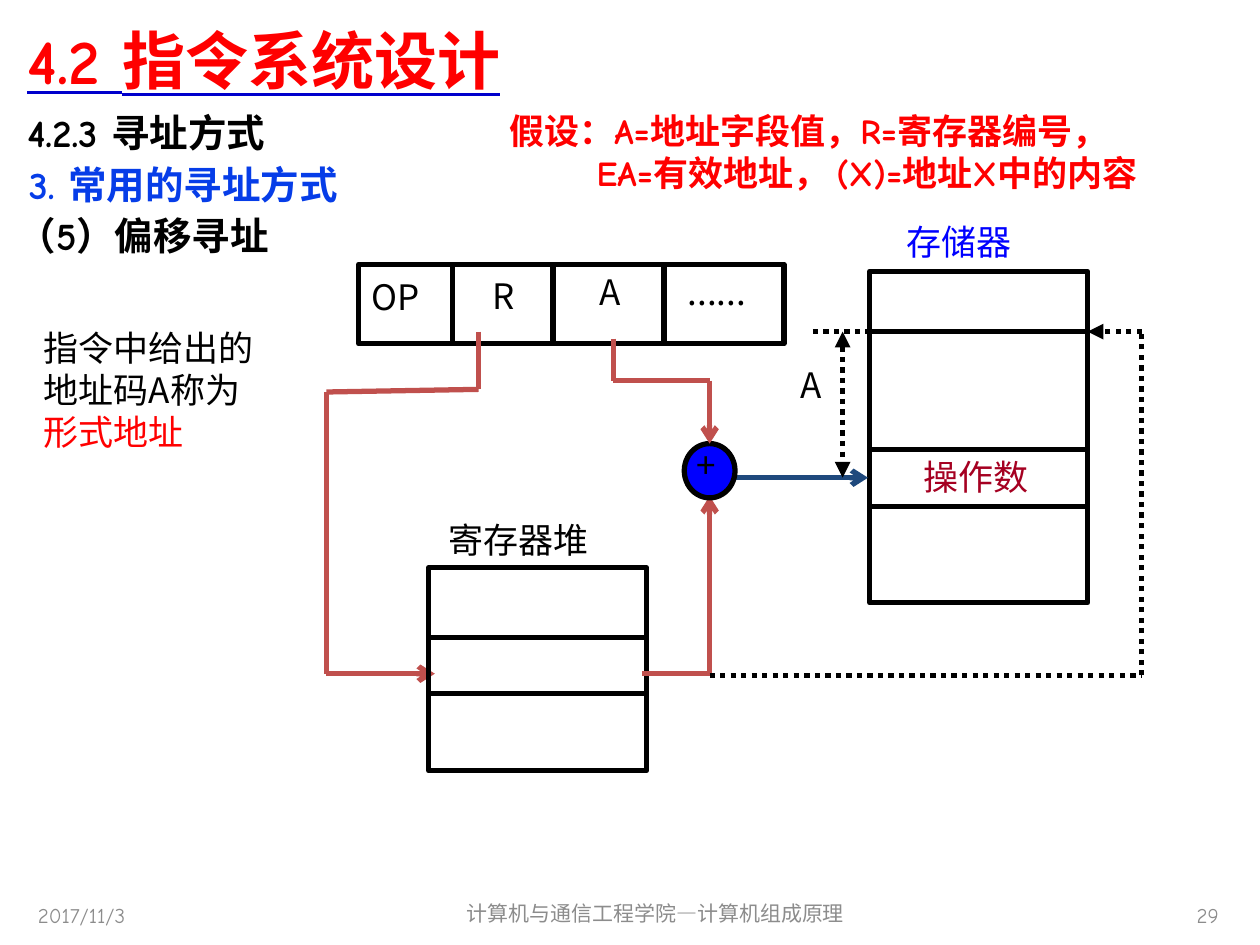
from itertools import pairwise

from lxml.etree import SubElement
from pptx import Presentation
from pptx.dml.color import RGBColor
from pptx.enum.dml import MSO_LINE
from pptx.enum.shapes import MSO_CONNECTOR, MSO_SHAPE
from pptx.enum.text import MSO_ANCHOR, MSO_AUTO_SIZE, PP_ALIGN
from pptx.oxml import parse_xml
from pptx.oxml.ns import nsdecls, qn
from pptx.util import Pt

COLORS = {
    "black": "000000", "red": "FF0000", "blue": "0000FF", "heading": "063DE8",
    "underline": "0000CC", "operand": "A50021", "grey": "8C8C8C",
    "wire": "C0504D", "address": "1F497D",
}
LATIN, CJK = "Comic Neue", "Noto Sans CJK SC"
TITLE = {"name": LATIN, "size": Pt(36), "bold": True, "underline": True}
HEADING = {"name": LATIN, "size": Pt(22), "bold": True}
ASSUMPTION = {"name": LATIN, "size": Pt(20), "bold": True}
LABEL = {"name": CJK, "size": Pt(20), "bold": False}
FOOTER = {"name": LATIN, "size": Pt(12), "bold": False}
TIGHT = (5, 2)


def color(name):
    return RGBColor.from_string(COLORS[name])


def add_run(p, text, style, color_name):
    r = p.add_run()
    r.text = text
    for name, value in style.items():
        setattr(r.font, name, value)
    r.font.color.rgb = color(color_name)
    latin = r.font._element.find(qn("a:latin"))
    latin.addnext(parse_xml(f'<a:ea {nsdecls("a")} typeface="{CJK}"/>'))
    return r


def place(s, box):
    for name, value in zip(("left", "top", "width", "height"), box):
        setattr(s, name, Pt(value))


def add_text(slide, box, runs, style, align=PP_ALIGN.LEFT, anchor=MSO_ANCHOR.TOP, inset=None):
    """Add a wrapping text box; runs is a list of (text, colour name)."""
    tf = slide.shapes.add_textbox(*map(Pt, box)).text_frame
    tf.word_wrap = True
    tf.vertical_anchor = anchor
    if inset:
        tf.margin_left = tf.margin_right = Pt(inset[0])
        tf.margin_top = tf.margin_bottom = Pt(inset[1])
    p = tf.paragraphs[0]
    p.alignment = align
    for text, color_name in runs:
        add_run(p, text, style, color_name)
    return tf


def fill_placeholder(s, box, text, style, color_name, anchor):
    place(s, box)
    tf = s.text_frame
    tf.auto_size = MSO_AUTO_SIZE.NONE
    tf.vertical_anchor = anchor
    p = tf.paragraphs[0]
    p.alignment = PP_ALIGN.LEFT
    p.space_before = Pt(0)
    pPr = p._p.get_or_add_pPr()
    pPr.set("marL", "0")
    pPr.set("indent", "0")
    SubElement(pPr, qn("a:buNone"))
    return add_run(p, text, style, color_name)


def color_underline(r, color_name):
    line = parse_xml(f'<a:uFill {nsdecls("a")}><a:solidFill>'
                     f'<a:srgbClr val="{COLORS[color_name]}"/></a:solidFill></a:uFill>')
    r.font._element.find(qn("a:latin")).addprevious(line)


def add_outline(slide, kind, box, fill=None):
    s = slide.shapes.add_shape(kind, *map(Pt, box))
    s.shadow.inherit = False
    if fill:
        s.fill.solid()
        s.fill.fore_color.rgb = color(fill)
    else:
        s.fill.background()
    s.line.color.rgb = color("black")
    s.line.width = Pt(3)
    return s


def add_line(slide, start, end, color_name="black", dotted=False, head=None, tail=None):
    s = slide.shapes.add_connector(MSO_CONNECTOR.STRAIGHT, *map(Pt, start + end))
    s.line.color.rgb = color(color_name)
    s.line.width = Pt(3)
    if dotted:
        s.line.dash_style = MSO_LINE.ROUND_DOT
    ln = s.line._get_or_add_ln()
    for tag, kind in (("a:headEnd", head), ("a:tailEnd", tail)):
        if kind:
            SubElement(ln, qn(tag)).set("type", kind)
    SubElement(s._element.spPr, qn("a:effectLst"))
    return s


def add_path(slide, points, color_name, tail, dotted=False):
    """Join the points with straight lines, put the arrowhead on the last and return it."""
    legs = list(pairwise(points))
    for start, end in legs[:-1]:
        add_line(slide, start, end, color_name, dotted)
    return add_line(slide, *legs[-1], color_name, dotted, tail=tail)


def add_cells(slide, box, columns=(), rows=()):
    """Add a rectangle divided at the given x and y positions."""
    left, top, width, height = box
    add_outline(slide, MSO_SHAPE.RECTANGLE, box)
    for x in columns:
        add_line(slide, (x, top), (x, top + height))
    for y in rows:
        add_line(slide, (left, y), (left + width, y))


def add_headings(slide):
    title, body = slide.placeholders
    r = fill_placeholder(title, (8.5, 3.5, 698, 61), "4.2 指令系统设计",
                         TITLE, "red", MSO_ANCHOR.MIDDLE)
    color_underline(r, "underline")
    fill_placeholder(body, (8.5, 58.5, 698, 41), "4.2.3 寻址方式",
                     HEADING, "black", MSO_ANCHOR.TOP)
    add_text(slide, (9.5, 88.5, 698, 40), [("3. 常用的寻址方式", "heading")], HEADING)
    add_text(slide, (3, 117.5, 686, 34), [("（5）偏移寻址", "black")], HEADING)

    tf = add_text(slide, (286, 60.5, 443.5, 52.5),
                  [("假设：A=地址字段值，R=寄存器编号，", "red")], ASSUMPTION, inset=TIGHT)
    p = tf.add_paragraph()
    p._p.get_or_add_pPr().set("marL", str(Pt(50)))
    add_run(p, "EA=有效地址， (X)=地址X中的内容", ASSUMPTION, "red")


def add_footers(slide):
    for box, text, align in (
        ((241, 507, 267, 29), "计算机与通信工程学院—计算机组成原理", PP_ALIGN.CENTER),
        ((535.5, 508.5, 168, 29), "29", PP_ALIGN.RIGHT),
        ((14.5, 508.5, 168, 29), "2017/11/3", PP_ALIGN.LEFT),
    ):
        add_text(slide, box, [(text, "grey")], FOOTER, align, MSO_ANCHOR.MIDDLE)


def add_diagram(slide):
    add_cells(slide, (205, 151, 243, 45.5), columns=(258.5, 316, 379.5))
    add_cells(slide, (497, 155, 124.5, 189.5), rows=(189.5, 257, 289.5))

    register_path = [(273.5, 189.5), (273.5, 222.5), (186.5, 224), (186.5, 385), (248.5, 385)]
    add_path(slide, register_path, "wire", "arrow")
    add_cells(slide, (245, 324.5, 124.5, 116), rows=(364.5, 396.5))

    add_line(slide, (420, 273), (496, 273), "address", tail="arrow")
    add_path(slide, [(367, 385), (405.5, 385), (405.5, 283.5)], "wire", "arrow")
    adder = add_outline(slide, MSO_SHAPE.OVAL, (391, 253.5, 29, 31), "blue")
    offset = add_path(slide, [(350.5, 193.5), (350.5, 217.5), (405.5, 217.5), (405.5, 253.5)],
                      "wire", "arrow")
    offset.end_connect(adder, 0)

    base_path = [(405.5, 386), (652.5, 386), (652.5, 189.5), (621.5, 189.5)]
    add_path(slide, base_path, "black", "triangle", dotted=True)
    add_line(slide, (464.5, 189.5), (496, 189.5), dotted=True)
    add_line(slide, (481.5, 189.5), (481.5, 273), dotted=True, head="triangle", tail="triangle")

    for box, text, color_name in (
        ((205, 154, 47, 31.5), "OP", "black"),
        ((274.5, 153.5, 33, 31.5), "R", "black"),
        ((335.5, 151, 33, 31.5), "A", "black"),
        ((511, 122.5, 109, 31), "存储器", "blue"),
        ((520.5, 256.5, 80, 31.5), "操作数", "operand"),
        ((249, 292.5, 133, 31), "寄存器堆", "black"),
        ((391, 250, 29, 31.5), "+", "black"),
        ((450.5, 204, 41, 31.5), "A", "black"),
    ):
        add_text(slide, box, [(text, color_name)], LABEL)
    add_text(slide, (388, 152.5, 60.5, 28), [("......", "black")], LABEL, inset=TIGHT)
    add_text(slide, (20, 184.5, 133.5, 77),
             [("指令中给出的地址码A称为", "black"), ("形式地址", "red")], LABEL, inset=TIGHT)


def main():
    prs = Presentation()
    prs.slide_width, prs.slide_height = Pt(720), Pt(540)
    slide = prs.slides.add_slide(prs.slide_layouts[1])
    add_headings(slide)
    add_footers(slide)
    add_diagram(slide)
    prs.save("out.pptx")


if __name__ == "__main__":
    main()
